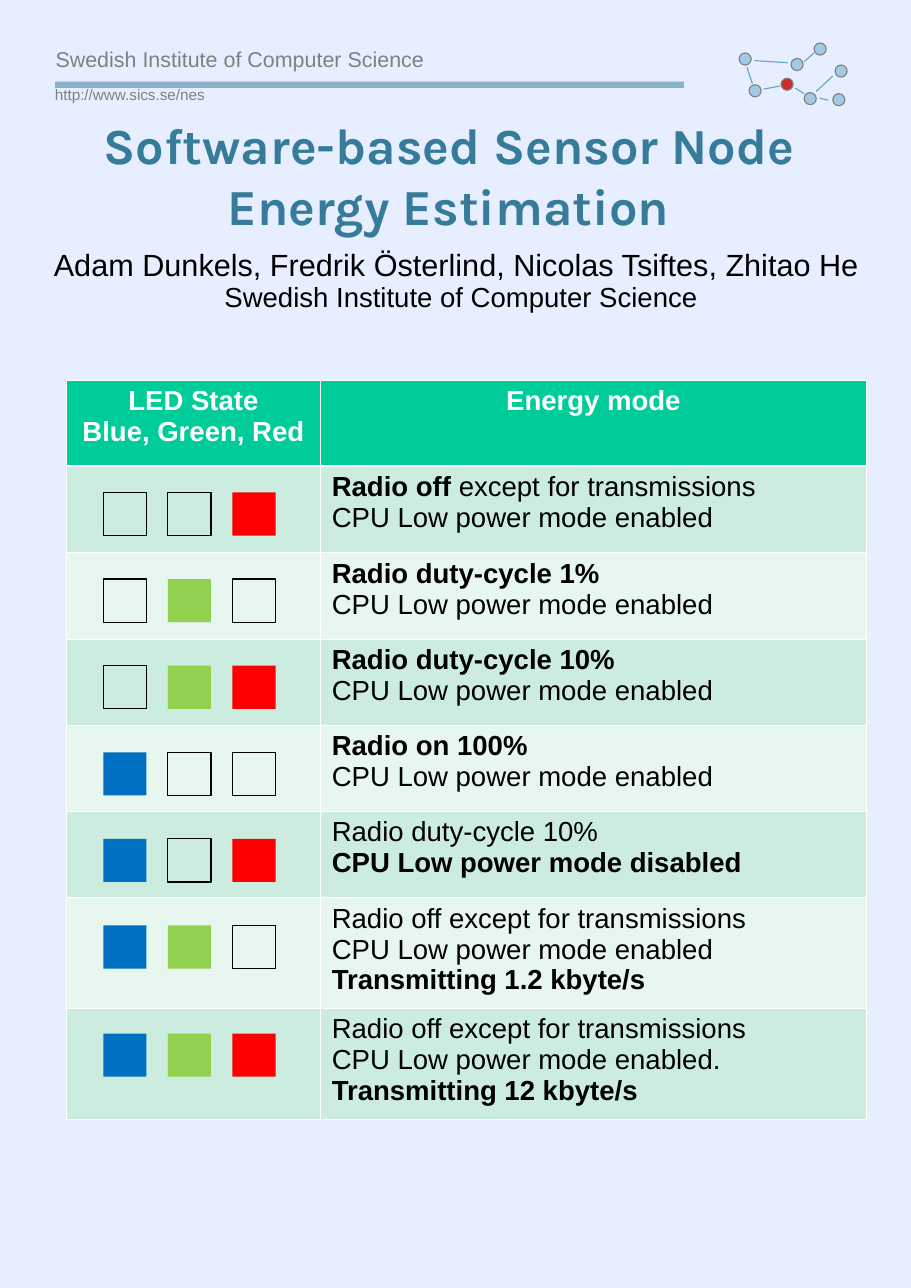
from dataclasses import dataclass

from lxml import etree
from pptx import Presentation
from pptx.dml.color import RGBColor
from pptx.enum import shapes, text
from pptx.oxml import ns
from pptx.util import Pt

RECT, ROUND, OVAL = (shapes.MSO_SHAPE.RECTANGLE, shapes.MSO_SHAPE.ROUNDED_RECTANGLE,
                     shapes.MSO_SHAPE.OVAL)
LEFT, MID = text.PP_ALIGN.LEFT, text.PP_ALIGN.CENTER


@dataclass(frozen=True)
class Theme:
    """Colours, fonts and type sizes of the poster."""
    back: str = "E7EEFF"
    teal: str = "367C9A"
    sky: str = "60A8C8"
    gray: str = "808080"
    black: str = "000000"
    white: str = "FFFFFF"
    red: str = "FF0000"
    green: str = "92D050"
    blue: str = "0070C0"
    sink: str = "CB2D2D"
    head: str = "00CC99"
    bands: tuple = ("CBECDE", "E7F6EF")
    face: str = "Arial"
    show: str = "Karla"
    title: int = 33
    names: int = 20
    body: int = 18
    top: int = 14
    small: int = 10
    thin: float = 0.75


def put(item, **vals):
    """Set each named value on the item."""
    for key, val in vals.items():
        setattr(item, key, val)


def sub(node, tag, **vals):
    """Add a child element with the given attributes."""
    return etree.SubElement(node, ns.qn(tag), **vals)


class Poster:
    """Draw elements on one slide in one style."""

    def __init__(self, slide, theme):
        self.slide, self.theme = slide, theme
        self.paint(slide.background, theme.back)

    def paint(self, item, hue, alpha=None):
        """Fill an item with one colour, or with none."""
        if hue is None:
            item.fill.background()
            return
        item.fill.solid()
        item.fill.fore_color.rgb = RGBColor.from_string(hue)
        if alpha:
            tint = item._element.spPr.find(".//" + ns.qn("a:srgbClr"))
            sub(tint, "a:alpha", val=str(alpha * 1000))

    def prose(self, frame, lines, size, hue, align=LEFT, face=None, lead=None):
        """Fill a frame with paragraphs, with bold runs between asterisks."""
        for num, line in enumerate(lines):
            para = frame.add_paragraph() if num else frame.paragraphs[0]
            put(para, alignment=align, line_spacing=lead)
            for odd, part in enumerate(line.split("*")):
                if part:
                    run = para.add_run()
                    run.text = part
                    put(run.font, size=Pt(size), bold=bool(odd % 2),
                        name=face or self.theme.face)
                    run.font.color.rgb = RGBColor.from_string(hue)

    def label(self, area, line, size, hue, inset=(7.2, 3.6), anchor="TOP", **style):
        """Add a text box with one paragraph."""
        frame = self.slide.shapes.add_textbox(*map(Pt, area)).text_frame
        wide, high = map(Pt, inset)
        put(frame, word_wrap=True, margin_left=wide, margin_right=wide, margin_top=high,
            margin_bottom=high, vertical_anchor=text.MSO_ANCHOR[anchor])
        self.prose(frame, [line], size, hue, **style)

    def shape(self, kind, area, fill=None, edge=None, alpha=None, group=None):
        """Add a preset shape, on the slide or in a group."""
        item = (group or self.slide).shapes.add_shape(kind, *map(Pt, area))
        item.shadow.inherit = False
        self.paint(item, fill, alpha)
        self.paint(item.line, edge)
        if edge:
            item.line.width = Pt(self.theme.thin)
        return item

    def link(self, ends):
        """Add a thin straight line."""
        line = self.slide.shapes.add_connector(shapes.MSO_CONNECTOR.STRAIGHT, *map(Pt, ends))
        self.paint(line.line, self.theme.sky)
        line.line.width = Pt(self.theme.thin)
        sub(line._element.spPr, "a:effectLst")

    def lights(self, left, top, step, side, hues):
        """Add a group of square lights, outlined where off."""
        group = self.slide.shapes.add_group_shape()
        for num, hue in enumerate(hues):
            self.shape(RECT, (left + num * step, top, side, side), hue,
                       None if hue else self.theme.black, group=group)

    def edge(self, cell, **sides):
        """Give cell borders the widths named by side."""
        props = cell._tc.get_or_add_tcPr()
        for num, (side, width) in enumerate(sides.items()):
            line = etree.Element(ns.qn("a:" + side), w=str(Pt(width)))
            sub(sub(line, "a:solidFill"), "a:srgbClr", val=self.theme.white)
            props.insert(num, line)

    def table(self, left, top, wides, highs, rows):
        """Add a banded table with a header row."""
        look = self.theme
        grid = self.slide.shapes.add_table(len(rows), len(wides), Pt(left), Pt(top),
                                           Pt(sum(wides)), Pt(sum(highs))).table
        for col, wide in zip(grid.columns, wides):
            col.width = Pt(wide)
        for num, (high, row) in enumerate(zip(highs, rows)):
            grid.rows[num].height = Pt(high)
            for col, lines in enumerate(row):
                cell = grid.cell(num, col)
                self.paint(cell, look.bands[(num - 1) % 2] if num else look.head)
                self.edge(cell, lnL=0.45, lnR=0.45, lnT=1.47 if num == 1 else 0.45,
                          lnB=0.45 if num else 1.47)
                self.prose(cell.text_frame, lines, look.body, look.black if num else look.white,
                           LEFT if num else MID)


DOT = 7.9
NODES = [(545.8, 42.5), (525.6, 60.5), (517, 38.2), (544.3, 61.2), (489.6, 55.4),
         (483.1, 34.6), (532.1, 28.1)]
SINK = (510.5, 51.1)
LINKS = [(488.2, 43.9, 491.8, 54.7), (493.2, 39.6, 514.8, 41), (499, 58.3, 509.8, 56.2),
         (533.5, 59.8, 544.3, 49.7), (525.6, 40.3, 532.1, 34.6), (535.7, 64.1, 541.4, 65.5),
         (519.8, 57.6, 525.6, 61.2)]
HOUSE = "Swedish Institute of Computer Science"
QUIET = "Radio off except for transmissions"
SLEEP = "CPU Low power mode enabled"
MODES = [("001", ["*Radio off *except for transmissions", SLEEP]),
         ("010", ["*Radio duty-cycle 1%*", SLEEP]),
         ("011", ["*Radio duty-cycle 10%*", SLEEP]),
         ("100", ["*Radio on 100%*", SLEEP]),
         ("101", ["Radio duty-cycle 10%", "*CPU Low power mode disabled*"]),
         ("110", [QUIET, SLEEP, "*Transmitting 1.2 kbyte/s*"]),
         ("111", [QUIET, SLEEP + ".", "*Transmitting 12 kbyte/s*"])]


def main():
    """Build the poster and save it."""
    deck = Presentation()
    put(deck, slide_width=Pt(595.44), slide_height=Pt(841.68))
    look = Theme()
    page = Poster(deck.slides.add_slide(deck.slide_layouts[6]), look)

    bar = page.shape(ROUND, (36, 53.3, 411, 4.1), look.teal, alpha=53)
    bar.adjustments[0] = 0.03
    for spot in NODES:
        page.shape(OVAL, (*spot, DOT, DOT), look.sky, look.gray, alpha=50)
    for ends in LINKS:
        page.link(ends)
    page.shape(OVAL, (*SINK, DOT, DOT), look.sink, look.gray)

    page.label((29.2, 28.1, 320, 30), HOUSE, look.top, look.gray, lead=0.93)
    page.label((28.8, 53.3, 160, 22), "http://www.sics.se/nes", look.small, look.gray, lead=0.93)
    page.label((40.3, 74.2, 506, 80), "*Software-based Sensor Node Energy Estimation*",
               look.title, look.teal, (0, 0), "MIDDLE", align=MID, face=look.show, lead=1.01)
    page.label((0.7, 159.1, 595.4, 30), "Adam Dunkels, Fredrik Österlind, Nicolas Tsiftes, Zhitao He",
               look.names, look.black, align=MID, lead=0.95)
    page.label((3.6, 180.7, 595.4, 28), HOUSE, look.body, look.black, align=MID, lead=0.95)

    heads = [["*LED State*", "*Blue, Green, Red*"], ["*Energy mode*"]]
    page.table(43.2, 248.4, [166.5, 356.4], [56.4] * 6 + [72.3] * 2,
               [heads] + [[[], lines] for _, lines in MODES])
    tops = [321.8 + 56.6 * num for num in range(6)] + [675.4]
    for top, (bits, _) in zip(tops, MODES):
        hues = [hue if bit == "1" else None
                for bit, hue in zip(bits, (look.blue, look.green, look.red))]
        page.lights(67.5, top, 42.2, 28.2, hues)
    deck.save("out.pptx")


if __name__ == "__main__":
    main()
